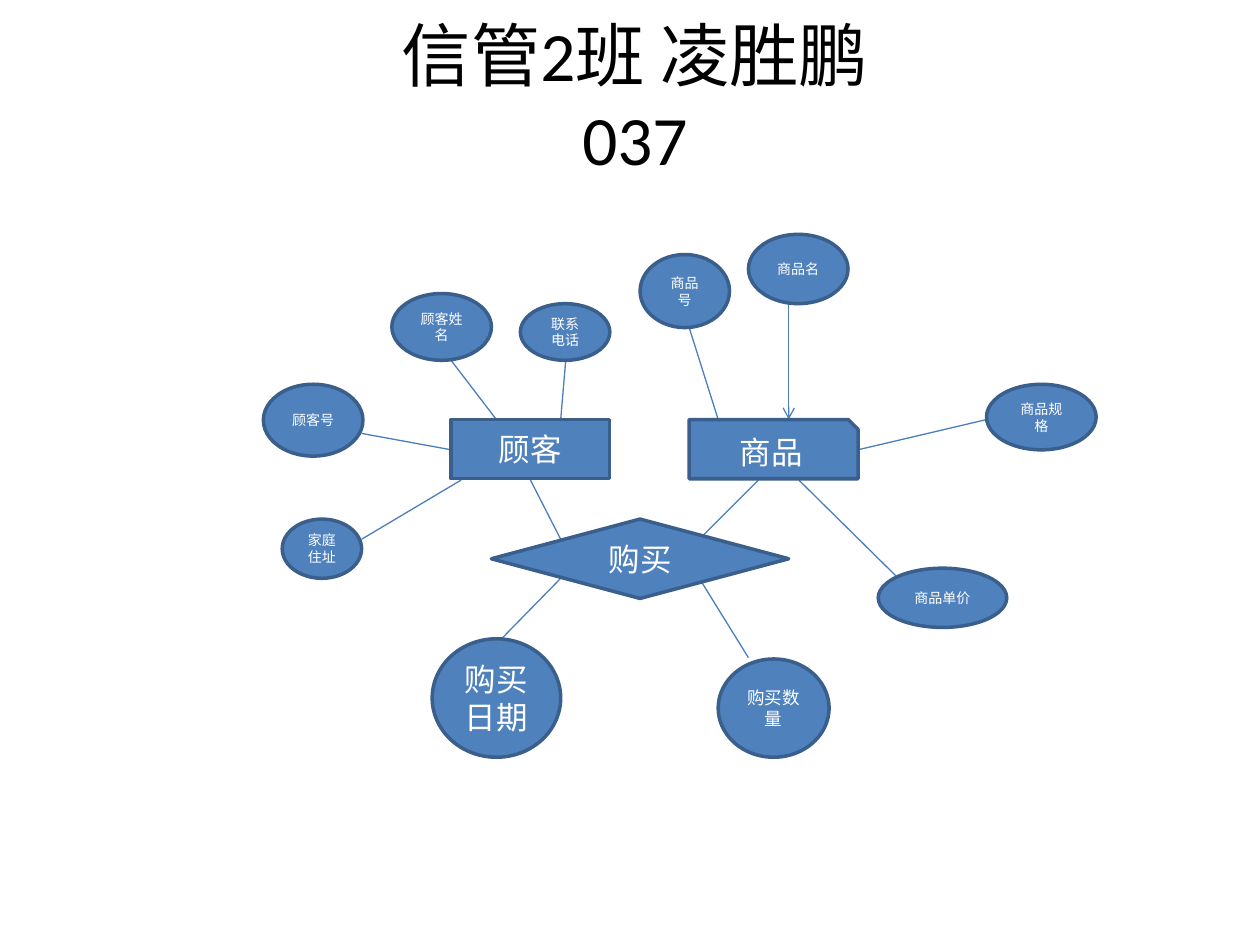
from dataclasses import dataclass

from lxml import etree
from pptx import Presentation
from pptx.dml.color import RGBColor
from pptx.enum.shapes import MSO_CONNECTOR, MSO_SHAPE
from pptx.enum.text import MSO_ANCHOR, PP_ALIGN
from pptx.oxml.ns import qn
from pptx.util import Inches, Pt

ELLIPSE = MSO_SHAPE.OVAL
RECTANGLE = MSO_SHAPE.RECTANGLE
SNIPPED = MSO_SHAPE.SNIP_1_RECTANGLE
DIAMOND = MSO_SHAPE.DIAMOND
STRAIGHT = MSO_CONNECTOR.STRAIGHT
CENTER = PP_ALIGN.CENTER
MIDDLE = MSO_ANCHOR.MIDDLE


@dataclass(frozen=True)
class Theme:
    """Colours, type sizes and line widths of the slide."""
    font: str = "Calibri"
    title_color: str = "000000"
    node_text: str = "FFFFFF"
    node_fill: str = "4F81BD"
    node_outline: str = "3A5F8C"
    link: str = "4B7EBC"
    title_size: float = 39.6
    large: float = 18
    medium: float = 10
    small: float = 8
    outline_width: float = 2
    link_width: float = 0.75


THEME = Theme()

# Text, left, top, width, height
TITLE = ("信管2班 凌胜鹏 037", 2.72, 0.29, 4.64, 0.94)

# Preset, text, type size, left, top, width, height
ENTITIES = [
    (DIAMOND, "购买", THEME.large, 3.9, 4.12, 2.36, 0.63),
    (RECTANGLE, "顾客", THEME.large, 3.58, 3.33, 1.26, 0.47),
    (SNIPPED, "商品", THEME.large, 5.47, 3.33, 1.34, 0.47),
]

# Text, type size, left, top, width, height
ATTRIBUTES = [
    ("购买日期", THEME.large, 3.43, 5.07, 1.02, 0.94),
    ("购买数量", THEME.medium, 5.7, 5.23, 0.88, 0.78),
    ("顾客姓名", THEME.small, 3.11, 2.33, 0.79, 0.53),
    ("联系电话", THEME.small, 4.13, 2.41, 0.71, 0.45),
    ("顾客号", THEME.small, 2.09, 3.05, 0.79, 0.57),
    ("家庭住址", THEME.small, 2.24, 4.12, 0.63, 0.47),
    ("商品号", THEME.small, 5.08, 2.02, 0.71, 0.58),
    ("商品名", THEME.small, 5.94, 1.86, 0.79, 0.55),
    ("商品规格", THEME.small, 7.83, 3.05, 0.87, 0.52),
    ("商品单价", THEME.small, 6.97, 4.51, 1.02, 0.47),
]

# Start x, start y, end x, end y
LINKS = [
    (4.45, 4.59, 3.98, 5.07),
    (4.45, 4.28, 4.21, 3.81),
    (5.55, 4.28, 6.02, 3.81),
    (5.55, 4.59, 5.94, 5.22),
    (3.58, 2.86, 3.94, 3.33),
    (4.45, 3.33, 4.49, 2.86),
    (3.58, 3.57, 2.87, 3.44),
    (3.66, 3.81, 2.87, 4.28),
    (5.47, 2.6, 5.7, 3.33),
    (6.81, 3.57, 7.83, 3.33),
    (6.34, 3.81, 7.13, 4.59),
]
ARROW = (6.26, 2.41, 6.26, 3.33)


def write_text(shape, text, size, color):
    """Put centred, wrapping text into a shape."""
    frame = shape.text_frame
    frame.word_wrap = True
    frame.vertical_anchor = MIDDLE
    paragraph = frame.paragraphs[0]
    paragraph.alignment = CENTER
    run = paragraph.add_run()
    run.text = text
    run.font.name = THEME.font
    run.font.size = Pt(size)
    run.font.color.rgb = RGBColor.from_string(color)


def add_title(slide, text, *box):
    """Add the heading as a text box."""
    shape = slide.shapes.add_textbox(*map(Inches, box))
    write_text(shape, text, size=THEME.title_size, color=THEME.title_color)


def add_node(slide, preset, text, size, *box):
    """Add one labelled node of the diagram."""
    shape = slide.shapes.add_shape(preset, *map(Inches, box))
    shape.shadow.inherit = False
    shape.fill.solid()
    shape.fill.fore_color.rgb = RGBColor.from_string(THEME.node_fill)
    shape.line.color.rgb = RGBColor.from_string(THEME.node_outline)
    shape.line.width = Pt(THEME.outline_width)
    write_text(shape, text, size=size, color=THEME.node_text)


def add_link(slide, *ends, arrow=False):
    """Add a straight link, with an open arrowhead at its end if asked."""
    link = slide.shapes.add_connector(STRAIGHT, *map(Inches, ends))
    link.line.color.rgb = RGBColor.from_string(THEME.link)
    link.line.width = Pt(THEME.link_width)
    if arrow:
        outline = link.line._get_or_add_ln()
        etree.SubElement(outline, qn("a:tailEnd"), type="arrow")
    etree.SubElement(link._element.spPr, qn("a:effectLst"))


def main():
    """Build the entity-relationship slide and save it."""
    presentation = Presentation()
    presentation.slide_width = Inches(10)
    presentation.slide_height = Inches(7.5)
    slide = presentation.slides.add_slide(presentation.slide_layouts[6])
    add_title(slide, *TITLE)
    for link in LINKS:
        add_link(slide, *link)
    add_link(slide, *ARROW, arrow=True)
    for entity in ENTITIES:
        add_node(slide, *entity)
    for attribute in ATTRIBUTES:
        add_node(slide, ELLIPSE, *attribute)
    presentation.save("out.pptx")


main()
